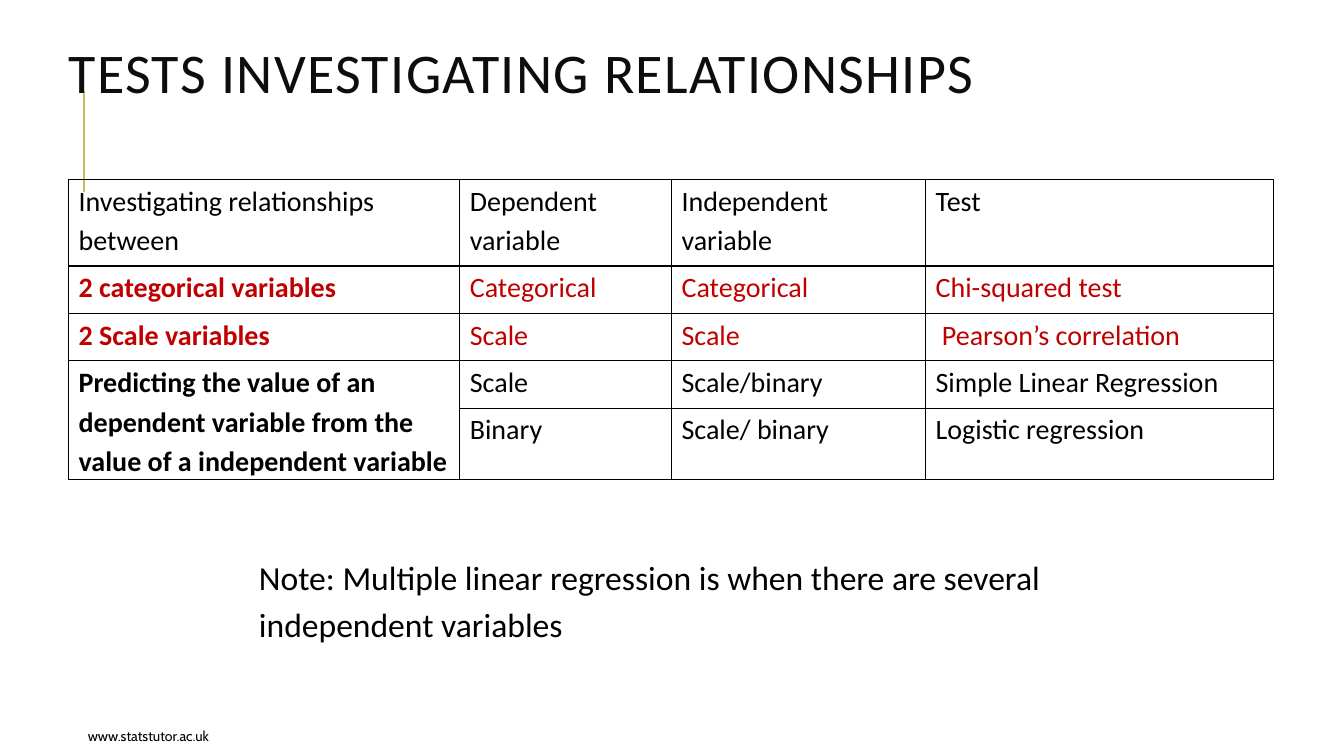
from dataclasses import dataclass

from lxml.etree import SubElement
from pptx import Presentation
from pptx.dml.color import RGBColor
from pptx.enum.shapes import MSO_CONNECTOR
from pptx.enum.text import MSO_ANCHOR, MSO_AUTO_SIZE, PP_ALIGN
from pptx.oxml.ns import qn
from pptx.util import Inches, Pt


@dataclass(frozen=True)
class Theme:
    font: str = "Calibri"
    footer_font: str = "Cabin"
    black: str = "000000"
    title: str = "0D0D0D"
    red: str = "C00000"
    gold: str = "CEB966"
    title_size: int = 40
    note_size: int = 24
    table_size: int = 20
    footer_size: int = 10


THEME = Theme()

COLUMN_WIDTHS = (3.88, 2.1, 2.52, 3.45)
ROW_HEIGHTS = (0.86, 0.47, 0.47, 0.47, 0.71)
HEADER_ROW = 0
RED_ROWS = (1, 2)
MERGED_ROWS = (3, 4)
TESTS = (
    ("Investigating relationships between", "Dependent variable", "Independent variable", "Test"),
    ("2 categorical variables", "Categorical", "Categorical", "Chi-squared test"),
    ("2 Scale variables", "Scale", "Scale", " Pearson’s correlation"),
    ("Predicting the value of an dependent variable from the value of a independent variable",
     "Scale", "Scale/binary", "Simple Linear Regression"),
    ("", "Binary", "Scale/ binary", "Logistic regression"),
)


def add_run(p, text, size, color=THEME.black, font=THEME.font, bold=False):
    r = p.add_run()
    r.text = text
    r.font.name = font
    r.font.size = Pt(size)
    r.font.bold = bold
    r.font.color.rgb = RGBColor.from_string(color)
    return r


def space_body(p):
    p.line_spacing = 1.15
    p.space_after = Pt(6)


def add_title(s, text, left, top, width, height):
    sp = s.shapes.title
    sp.left, sp.top, sp.width, sp.height = map(Inches, (left, top, width, height))
    tf = sp.text_frame
    tf.word_wrap = True
    tf.auto_size = MSO_AUTO_SIZE.NONE
    tf.vertical_anchor = MSO_ANCHOR.MIDDLE
    p = tf.paragraphs[0]
    p.alignment = PP_ALIGN.LEFT
    p.line_spacing = 0.8
    r = add_run(p, text, THEME.title_size, THEME.title)
    r.font._element.set("spc", "100")


def add_accent_line(s, left, top, height):
    """Draw the vertical gold rule behind the title."""
    line = s.shapes.add_connector(MSO_CONNECTOR.STRAIGHT, Inches(left), Inches(top + height),
                                  Inches(left), Inches(top))
    line.line.color.rgb = RGBColor.from_string(THEME.gold)
    line.line.width = Pt(1.5)
    SubElement(line.element.spPr, qn("a:effectLst"))
    s.shapes.title.element.addprevious(line.element)


def set_borders(cell):
    """Outline all four sides; the lines must precede the fill in the XML."""
    tcPr = cell._tc.get_or_add_tcPr()
    for i, side in enumerate(("lnL", "lnR", "lnT", "lnB")):
        ln = tcPr.makeelement(qn(f"a:{side}"), {"w": str(Pt(1))})
        fill = SubElement(ln, qn("a:solidFill"))
        SubElement(fill, qn("a:srgbClr"), val=THEME.black)
        tcPr.insert(i, ln)


def add_tests_table(s, left, top):
    frame = s.shapes.add_table(len(ROW_HEIGHTS), len(COLUMN_WIDTHS), Inches(left), Inches(top),
                               Inches(sum(COLUMN_WIDTHS)), Inches(sum(ROW_HEIGHTS)))
    table = frame.table
    table.first_row = table.horz_banding = False
    for column, width in zip(table.columns, COLUMN_WIDTHS):
        column.width = Inches(width)
    for row, height in zip(table.rows, ROW_HEIGHTS):
        row.height = Inches(height)
    first, last = MERGED_ROWS
    table.cell(first, 0).merge(table.cell(last, 0))
    for i, row in enumerate(TESTS):
        for j, text in enumerate(row):
            cell = table.cell(i, j)
            cell.fill.background()
            set_borders(cell)
            cell.margin_left = cell.margin_right = Inches(0.1)
            cell.margin_top = cell.margin_bottom = 0
            if cell.is_spanned:
                continue
            p = cell.text_frame.paragraphs[0]
            space_body(p)
            add_run(p, text, THEME.table_size, THEME.red if i in RED_ROWS else THEME.black,
                    bold=j == 0 and i != HEADER_ROW)


def add_text_box(s, left, top, width, height):
    tf = s.shapes.add_textbox(*map(Inches, (left, top, width, height))).text_frame
    tf.word_wrap = True
    return tf


def add_note(s, text, left, top, width, height):
    tf = add_text_box(s, left, top, width, height)
    tf.auto_size = MSO_AUTO_SIZE.SHAPE_TO_FIT_TEXT
    p = tf.paragraphs[0]
    space_body(p)
    add_run(p, text, THEME.note_size)


def add_footer(s, text, left, top, width, height):
    tf = add_text_box(s, left, top, width, height)
    tf.vertical_anchor = MSO_ANCHOR.BOTTOM
    p = tf.paragraphs[0]
    p.alignment = PP_ALIGN.RIGHT
    add_run(p, text, THEME.footer_size, font=THEME.footer_font)


def main():
    prs = Presentation()
    prs.slide_width, prs.slide_height = Inches(13.33), Inches(7.5)
    s = prs.slides.add_slide(prs.slide_layouts.get_by_name("Title Only"))
    add_title(s, "TESTS INVESTIGATING RELATIONSHIPS", 0.58, 0.36, 12.2, 0.81)
    add_accent_line(s, 0.83, 0.9, 1)
    add_tests_table(s, 0.68, 1.78)
    add_note(s, "Note: Multiple linear regression is when there are several independent variables",
             2.47, 5.42, 9.13, 1.03)
    add_footer(s, "www.statstutor.ac.uk", -0.22, 7.08, 2.39, 0.35)
    prs.save("out.pptx")


if __name__ == "__main__":
    main()
